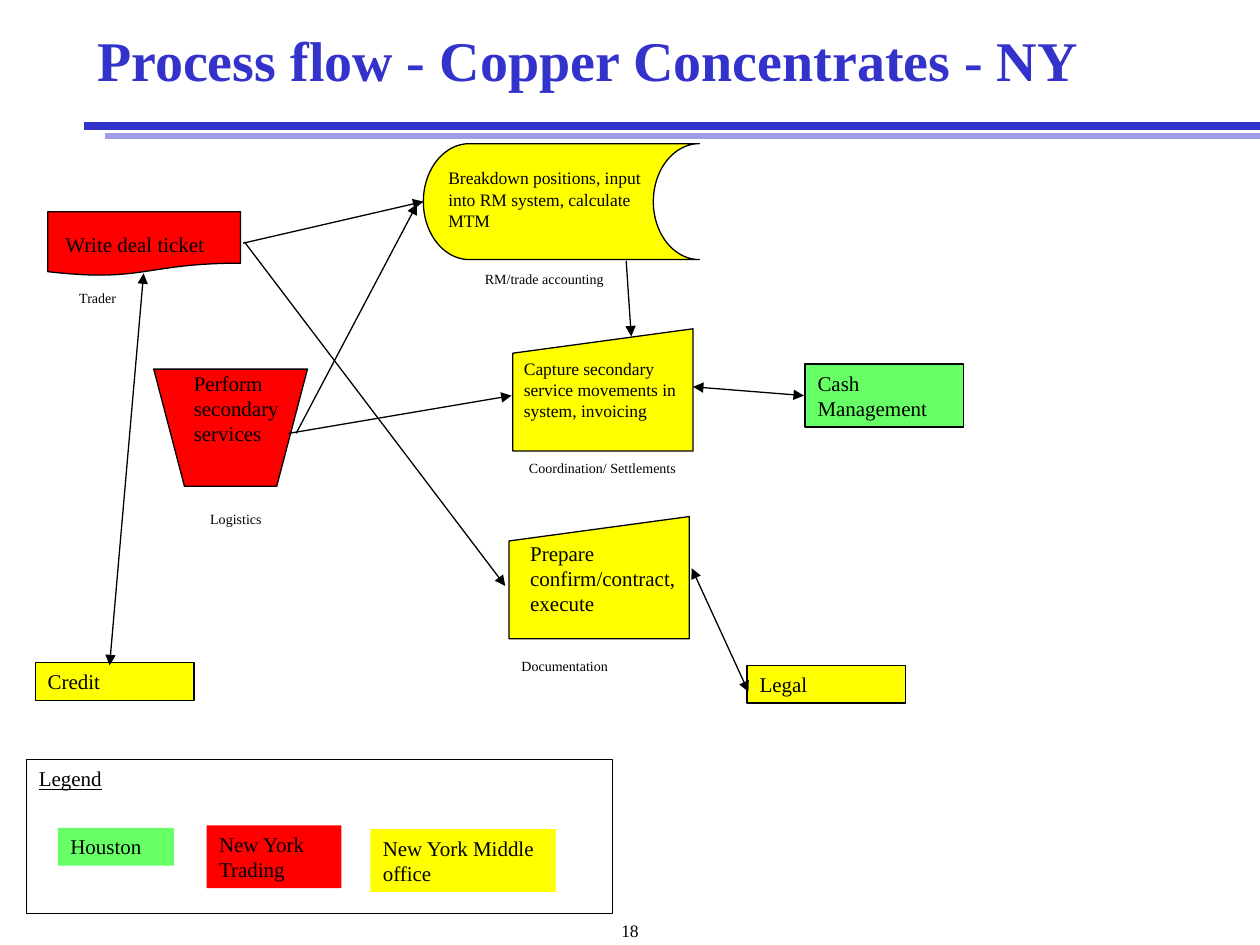
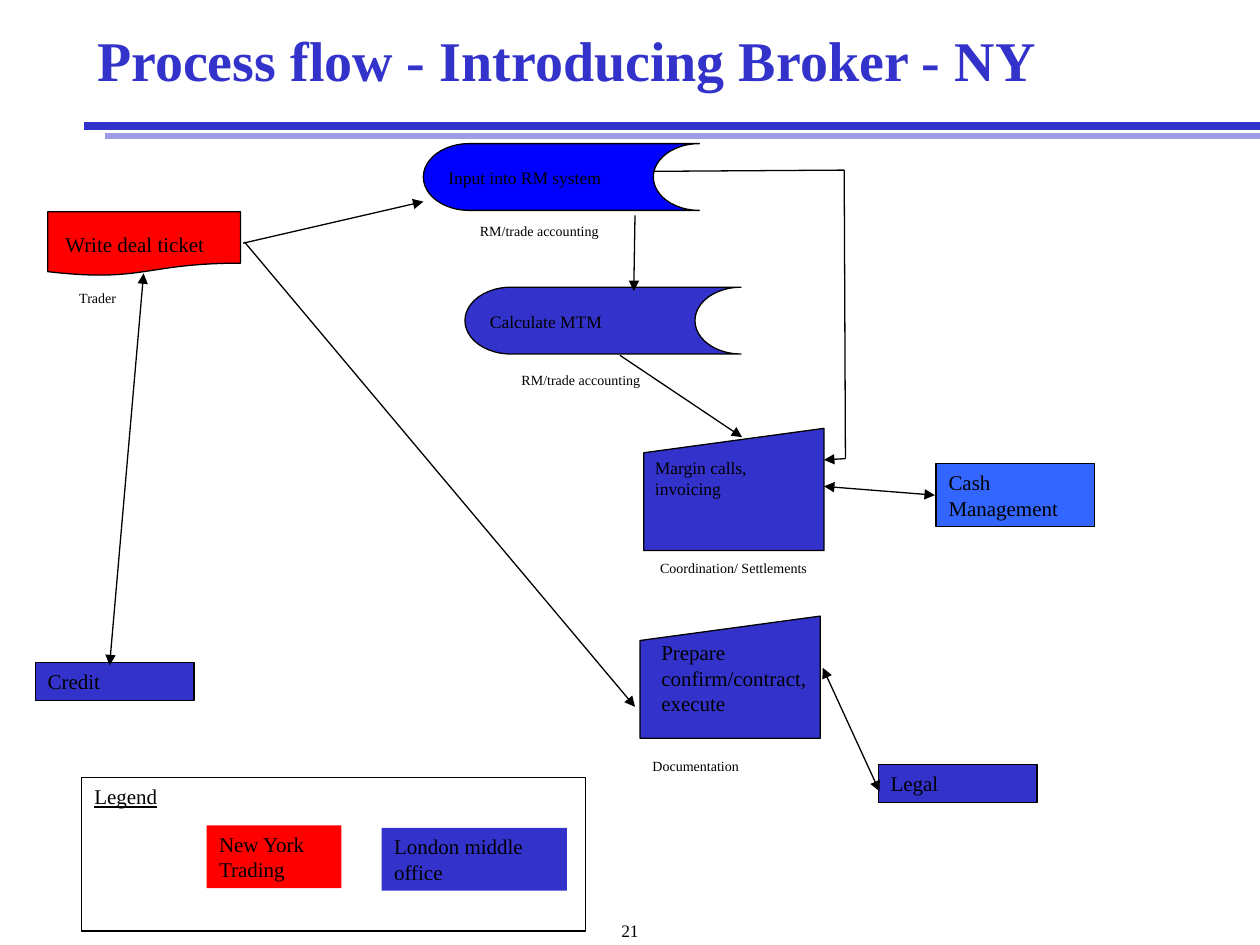
from lxml import etree
from pptx import Presentation
from pptx.dml.color import RGBColor
from pptx.enum.shapes import MSO_CONNECTOR, MSO_SHAPE
from pptx.enum.text import MSO_ANCHOR, PP_ALIGN
from pptx.oxml.ns import qn
from pptx.util import Inches, Pt

FONT = "Times New Roman"
BLACK, RED, YELLOW, GREEN = "000000", "FF0000", "FFFF00", "66FF66"
INDIGO, LAVENDER, BLUE, SKY = "3333CC", "9D9DE7", "0000FF", "3366FF"


def rgb(value):
    return RGBColor.from_string(value)


class Deck:
    """Holds the presentation style and the current slide."""

    def __init__(self):
        self.prs = Presentation()
        self.prs.slide_width, self.prs.slide_height = Inches(10), Inches(7.5)
        self.s = None

    def slide(self, title, number):
        self.s = self.prs.slides.add_slide(self.prs.slide_layouts[5])
        # Title
        sp = self.s.shapes.title
        sp.left, sp.top = Inches(0.67), Inches(0)
        sp.width, sp.height = Inches(9.08), Inches(1)
        self.fill_text(sp, title, 32, INDIGO, bold=True)
        sp.text_frame.vertical_anchor = MSO_ANCHOR.MIDDLE
        sp.text_frame.paragraphs[0].line_spacing = 0.9
        # Double rule under the title
        self.line((10, 1), (0.67, 1), color=INDIGO, width=4.5)
        self.line((10, 1.08), (0.83, 1.08), color=LAVENDER, width=3)
        # Page number
        self.text(number, 0, 7.25, 10, 0.17, size=10, align=PP_ALIGN.CENTER)

    def fill_text(self, sp, text, size, color=BLACK, align=PP_ALIGN.LEFT,
                  bold=False, underline=False):
        tf = sp.text_frame
        tf.word_wrap = True
        tf.vertical_anchor = MSO_ANCHOR.TOP
        tf.text = text
        p = tf.paragraphs[0]
        p.alignment = align
        font = p.runs[0].font
        font.name, font.size, font.color.rgb = FONT, Pt(size), rgb(color)
        font.bold, font.underline = bold, underline

    def text(self, text, x, y, w, h, size=12, align=PP_ALIGN.LEFT):
        sp = self.s.shapes.add_textbox(Inches(x), Inches(y), Inches(w), Inches(h))
        self.fill_text(sp, text, size, align=align)

    def caption(self, text, x, y, w=1.46):
        self.text(text, x, y, w, 0.24, size=8)

    def shape(self, kind, x, y, w, h, fill=None, outline=True):
        sp = self.s.shapes.add_shape(kind, Inches(x), Inches(y), Inches(w), Inches(h))
        sp.shadow.inherit = False
        if fill:
            sp.fill.solid()
            sp.fill.fore_color.rgb = rgb(fill)
        else:
            sp.fill.background()
        if outline:
            sp.line.color.rgb = rgb(BLACK)
            sp.line.width = Pt(0.75)
        else:
            sp.line.fill.background()
        return sp

    def box(self, text, x, y, w, h, fill=None, outline=True, underline=False):
        sp = self.shape(MSO_SHAPE.RECTANGLE, x, y, w, h, fill, outline)
        self.fill_text(sp, text, 12, underline=underline)

    def line(self, start, end, heads="", color=BLACK, width=0.75):
        """heads: "" for a plain line, "end" or "both" for arrows."""
        x1, y1, x2, y2 = map(Inches, start + end)
        c = self.s.shapes.add_connector(MSO_CONNECTOR.STRAIGHT, x1, y1, x2, y2)
        c.line.color.rgb = rgb(color)
        c.line.width = Pt(width)
        ln = c.line._get_or_add_ln()
        if heads == "both":
            etree.SubElement(ln, qn("a:headEnd"), type="triangle")
        if heads:
            etree.SubElement(ln, qn("a:tailEnd"), type="triangle")
        etree.SubElement(c._element.spPr, qn("a:effectLst"))

    def storage(self, text, x, y, h, fill):
        self.shape(MSO_SHAPE.FLOWCHART_STORED_DATA, x, y, 2.19, h, fill)
        self.text(text, x + 0.1, y + 0.14, 1.85, h - 0.3, size=10)

    def legend(self, x, y, w, entries):
        self.box("Legend", x, y, w, 1.22, underline=True)
        for text, ex, ey, ew, eh, fill in entries:
            self.box(text, ex, ey, ew, eh, fill, outline=False)

    def deal_ticket(self, credit_fill):
        self.box("Credit", 0.28, 5.26, 1.26, 0.3, credit_fill)
        self.line((1.14, 2.17), (0.87, 5.28), "both")
        self.shape(MSO_SHAPE.FLOWCHART_DOCUMENT, 0.38, 1.68, 1.53, 0.51, RED)
        self.text("Write deal ticket", 0.42, 1.79, 1.72, 0.3)
        self.caption("Trader", 0.53, 2.25, 0.72)

    def back_office(self, x, y, settlement, fill, cash_fill):
        """Settlement and documentation steps, with their outside contacts."""
        manual = MSO_SHAPE.FLOWCHART_MANUAL_INPUT
        self.shape(manual, x + 0.03, y, 1.43, 0.97, fill)
        self.text(settlement, x + 0.02, y + 0.18, 1.43, 0.6, size=10)
        self.caption("Coordination/ Settlements", x + 0.06, y + 0.99)
        self.shape(manual, x, y + 1.49, 1.43, 0.97, fill)
        self.text("Prepare confirm/contract, execute", x + 0.07, y + 1.63, 1.43, 0.7)
        self.caption("Documentation", x, y + 2.56)
        self.box("Cash Management", x + 2.35, y + 0.28, 1.26, 0.5, cash_fill)
        self.box("Legal", x + 1.89, y + 2.67, 1.26, 0.3, fill)
        self.line((x + 1.46, y + 0.46), (x + 2.34, y + 0.53), "both")
        self.line((x + 1.45, y + 1.9), (x + 1.9, y + 2.88), "both")

    def arrows(self, *ends):
        for start, end in ends:
            self.line(start, end, "end")


def copper_concentrates(d):
    d.slide("Process flow - Copper Concentrates - NY", "18")
    d.legend(0.21, 6.03, 4.65, [
        ("Houston", 0.46, 6.57, 0.92, 0.3, GREEN),
        ("New York Trading", 1.64, 6.55, 1.07, 0.5, RED),
        ("New York Middle office", 2.94, 6.58, 1.47, 0.5, YELLOW)])
    d.deal_ticket(YELLOW)
    # Logistics
    d.shape(MSO_SHAPE.FLOWCHART_MANUAL_OPERATION, 1.22, 2.93, 1.22, 0.93, RED)
    d.text("Perform secondary services", 1.44, 2.89, 0.9, 0.7)
    d.caption("Logistics", 1.57, 4, 0.74)
    # Accounting and back office
    d.storage("Breakdown positions, input into RM system, calculate MTM",
              3.36, 1.14, 0.92, YELLOW)
    d.caption("RM/trade accounting", 3.75, 2.1)
    d.back_office(4.04, 2.61, "Capture secondary service movements in system, invoicing",
                  YELLOW, GREEN)
    # Flow arrows
    d.arrows(((1.93, 1.93), (3.36, 1.6)), ((2.35, 3.44), (3.31, 1.62)),
             ((2.29, 3.44), (4.06, 3.14)), ((1.94, 1.92), (4.01, 4.65)),
             ((4.97, 2.07), (5.01, 2.67)))


def introducing_broker(d):
    d.slide("Process flow - Introducing Broker - NY", "21")
    d.legend(0.65, 6.17, 4, [
        ("New York Trading", 1.64, 6.55, 1.07, 0.5, RED),
        ("London middle office", 3.03, 6.57, 1.47, 0.5, INDIGO)])
    d.deal_ticket(INDIGO)
    # Accounting and back office
    d.storage("Input into RM system", 3.36, 1.14, 0.53, BLUE)
    d.caption("RM/trade accounting", 3.71, 1.72)
    d.storage("Calculate MTM", 3.69, 2.28, 0.53, INDIGO)
    d.caption("RM/trade accounting", 4.04, 2.9)
    d.back_office(5.08, 3.4, "Margin calls, invoicing", INDIGO, SKY)
    # Flow arrows
    d.arrows(((1.93, 1.93), (3.36, 1.6)), ((1.94, 1.92), (5.04, 5.61)),
             ((5.04, 1.71), (5.03, 2.31)), ((4.92, 2.82), (5.89, 3.47)))
    # Route from the RM system round to settlements
    d.line((5.18, 1.36), (6.7, 1.35))
    d.line((6.7, 1.35), (6.71, 3.64))
    d.line((6.71, 3.64), (6.54, 3.65), "end")


def main():
    d = Deck()
    copper_concentrates(d)
    introducing_broker(d)
    d.prs.save("out.pptx")


if __name__ == "__main__":
    main()
